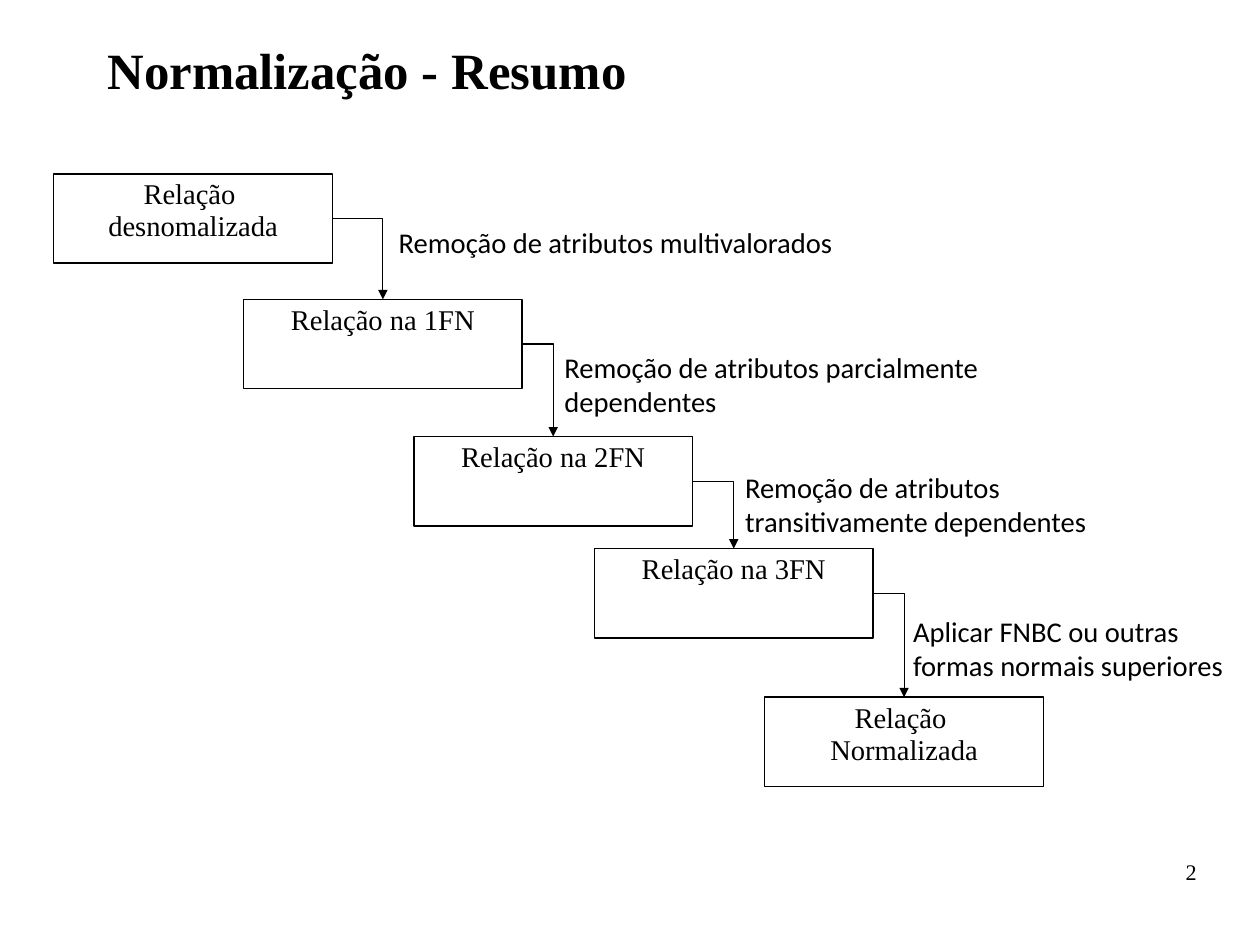
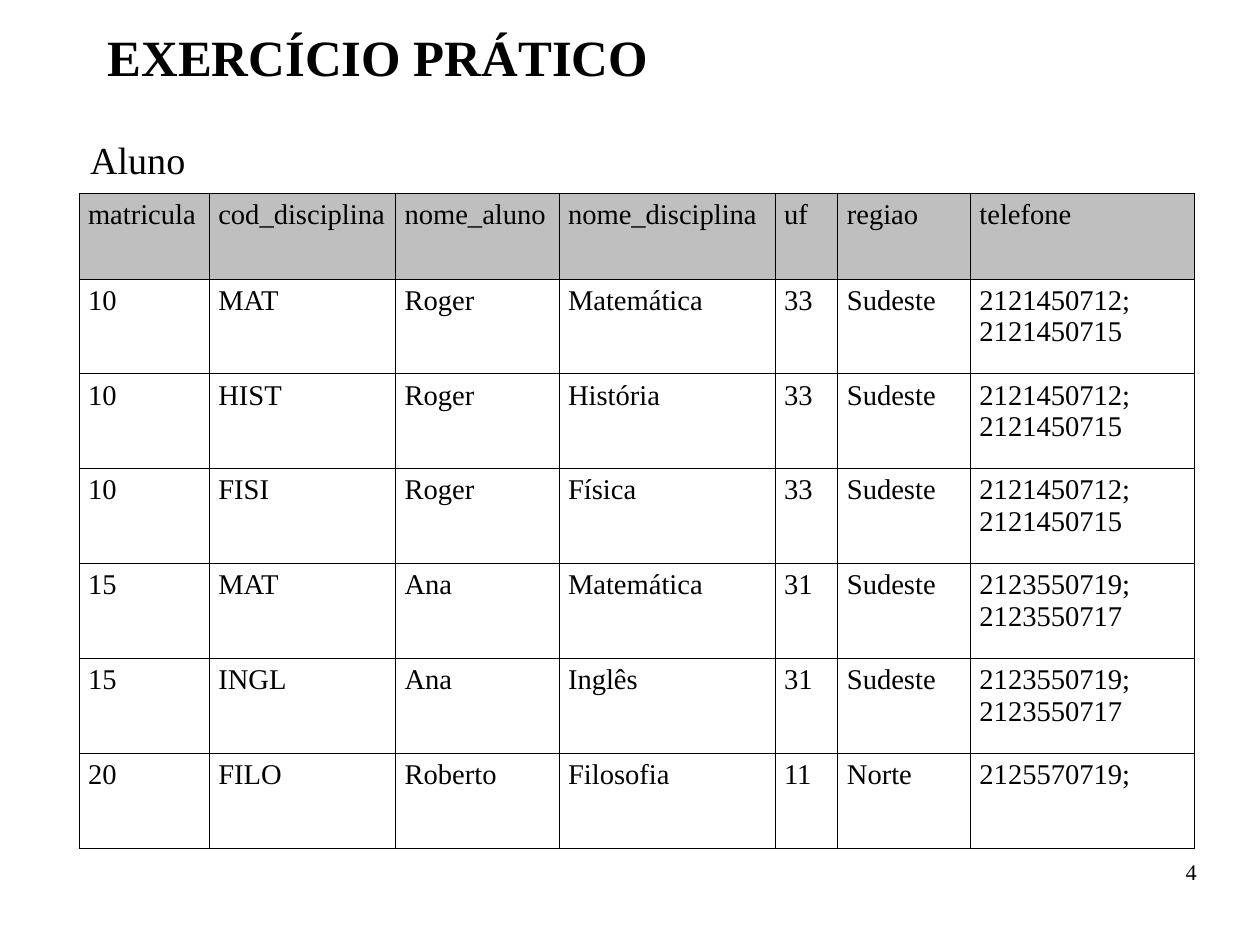
import pptx
import pptx.dml.color
import pptx.enum.shapes
import pptx.enum.text
import pptx.oxml.ns
import pptx.util
from lxml import etree

Inches = pptx.util.Inches
Pt = pptx.util.Pt
qn = pptx.oxml.ns.qn
ALIGN = pptx.enum.text.PP_ALIGN
ANCHOR = pptx.enum.text.MSO_ANCHOR

COLORS = {"ink": "000000", "paper": "FFFFFF", "header": "BFBFBF"}
SERIF = "Times New Roman"
SANS = "Calibri"
RIGHT_SITE, TOP_SITE = 3, 0
CM_PER_INCH = 2.54
SLIDE_WIDTH = Inches(28 / CM_PER_INCH)
SLIDE_HEIGHT = Inches(21 / CM_PER_INCH)

STEP_SIZE = (2.44, 0.78)
STEPS = [
    ("Relação \ndesnomalizada", 0.47, 1.52),
    ("Relação na 1FN", 2.13, 2.62),
    ("Relação na 2FN", 3.62, 3.82),
    ("Relação na 3FN", 5.2, 4.8),
    ("Relação \nNormalizada", 6.69, 6.1),
]
ACTIONS = [
    ("Remoção de atributos multivalorados", 3.39, 1.92, 4.09),
    ("Remoção de atributos parcialmente dependentes", 4.84, 3.01, 4.09),
    ("Remoção de atributos\ntransitivamente dependentes", 6.42, 4.06, 4.09),
    ("Aplicar FNBC ou outras\nformas normais superiores", 7.89, 5.32, 3.1),
]

ROGER_PHONES = "2121450712; 2121450715"
ANA_PHONES = "2123550719; 2123550717"
STUDENT_COLUMNS = [1.14, 1.63, 1.43, 1.89, 0.55, 1.16, 1.96]
STUDENT_ROWS = [
    ["matricula", "cod_disciplina", "nome_aluno", "nome_disciplina", "uf", "regiao", "telefone"],
    ["10", "MAT", "Roger", "Matemática", "33", "Sudeste", ROGER_PHONES],
    ["10", "HIST", "Roger", "História", "33", "Sudeste", ROGER_PHONES],
    ["10", "FISI", "Roger", "Física", "33", "Sudeste", ROGER_PHONES],
    ["15", "MAT", "Ana", "Matemática", "31", "Sudeste", ANA_PHONES],
    ["15", "INGL", "Ana", "Inglês", "31", "Sudeste", ANA_PHONES],
    ["20", "FILO", "Roberto", "Filosofia", "11", "Norte", "2125570719;"],
]


def rgb(name):
    return pptx.dml.color.RGBColor.from_string(COLORS[name])


def write_text(frame, text, size=18, font=SERIF, bold=False, align=ALIGN.LEFT, spacing=None):
    frame.text = text
    frame.word_wrap = True
    for paragraph in frame.paragraphs:
        paragraph.alignment = align
        paragraph.line_spacing = spacing
        paragraph.space_before = Pt(0)
        paragraph.font.size = Pt(size)
        paragraph.font.name = font
        paragraph.font.bold = bold
        paragraph.font.color.rgb = rgb("ink")


def set_margins(frame, horizontal, vertical):
    frame.margin_left = frame.margin_right = Inches(horizontal)
    frame.margin_top = frame.margin_bottom = Inches(vertical)
    frame.vertical_anchor = ANCHOR.TOP


class Deck:
    def __init__(self):
        self.presentation = pptx.Presentation()
        self.presentation.slide_width = SLIDE_WIDTH
        self.presentation.slide_height = SLIDE_HEIGHT
        self.slide = None

    def add_slide(self, title, number, top, height):
        layout = self.presentation.slide_layouts[5]
        self.slide = self.presentation.slides.add_slide(layout)
        shape = self.slide.shapes.title
        shape.left, shape.top = Inches(0.94), Inches(top)
        shape.width, shape.height = Inches(9.53), Inches(height)
        frame = shape.text_frame
        frame.auto_size = pptx.enum.text.MSO_AUTO_SIZE.NONE
        set_margins(frame, 0, 0)
        write_text(frame, title, size=32, bold=True, spacing=0.93)
        self.add_label(str(number), 7.9, 7.53, 2.57, 0.57, margins=(0, 0),
                       size=14, align=ALIGN.RIGHT, spacing=0.95)

    def add_label(self, text, left, top, width, height, margins=(0.1, 0.05), **text_format):
        box = self.slide.shapes.add_textbox(
            Inches(left), Inches(top), Inches(width), Inches(height))
        set_margins(box.text_frame, *margins)
        write_text(box.text_frame, text, **text_format)

    def add_step(self, text, left, top):
        width, height = STEP_SIZE
        shape = self.slide.shapes.add_shape(
            pptx.enum.shapes.MSO_SHAPE.RECTANGLE,
            Inches(left), Inches(top), Inches(width), Inches(height))
        shape.shadow.inherit = False
        shape.fill.solid()
        shape.fill.fore_color.rgb = rgb("paper")
        shape.line.color.rgb = rgb("ink")
        shape.line.width = Pt(1)
        set_margins(shape.text_frame, 0.1, 0.05)
        write_text(shape.text_frame, text, align=ALIGN.CENTER, spacing=0.93)
        return shape

    def add_arrow(self, source, target):
        connector = self.slide.shapes.add_connector(
            pptx.enum.shapes.MSO_CONNECTOR.ELBOW, 0, 0, 0, 0)
        connector.begin_connect(source, RIGHT_SITE)
        connector.end_connect(target, TOP_SITE)
        connector.line.color.rgb = rgb("ink")
        connector.line.width = Pt(0.75)
        properties = connector._element.spPr
        properties.find(qn("a:prstGeom")).set("prst", "bentConnector2")
        etree.SubElement(properties.find(qn("a:ln")), qn("a:tailEnd"), type="triangle")
        etree.SubElement(properties, qn("a:effectLst"))

    def add_table(self, rows, left, top, column_widths, row_heights):
        table = self.slide.shapes.add_table(
            len(rows), len(column_widths), Inches(left), Inches(top),
            Inches(sum(column_widths)), Inches(sum(row_heights))).table
        table.horz_banding = False
        for column, width in zip(table.columns, column_widths):
            column.width = Inches(width)
        for row_index, (row, height, values) in enumerate(zip(table.rows, row_heights, rows)):
            row.height = Inches(height)
            for cell, value in zip(row.cells, values):
                self.format_cell(cell, value, "paper" if row_index else "header")

    def format_cell(self, cell, text, fill):
        cell.margin_left = cell.margin_right = Inches(0.08)
        cell.margin_top = cell.margin_bottom = Inches(0.05)
        cell.vertical_anchor = ANCHOR.TOP
        write_text(cell.text_frame, text, align=ALIGN.JUSTIFY)
        properties = cell._tc.get_or_add_tcPr()
        for side in ("lnL", "lnR", "lnT", "lnB"):
            border = etree.SubElement(properties, qn("a:" + side), w=str(Pt(0.45)))
            solid = etree.SubElement(border, qn("a:solidFill"))
            etree.SubElement(solid, qn("a:srgbClr"), val=COLORS["ink"])
        cell.fill.solid()
        cell.fill.fore_color.rgb = rgb(fill)


def build_summary(deck):
    deck.add_slide("Normalização - Resumo", 2, top=0.39, height=0.61)
    steps = [deck.add_step(*step) for step in STEPS]
    for source, target in zip(steps, steps[1:]):
        deck.add_arrow(source, target)
    for text, left, top, width in ACTIONS:
        deck.add_label(text, left, top, width, 0.7, font=SANS)


def build_exercise(deck):
    deck.add_slide("EXERCÍCIO PRÁTICO", 4, top=0.27, height=0.83)
    row_heights = [0.75] + [0.83] * (len(STUDENT_ROWS) - 1)
    deck.add_table(STUDENT_ROWS, 0.69, 1.69, STUDENT_COLUMNS, row_heights)
    deck.add_label("Aluno", 0.69, 1.14, 2.76, 0.5, size=24)


def main():
    deck = Deck()
    build_summary(deck)
    build_exercise(deck)
    deck.presentation.save("out.pptx")


if __name__ == "__main__":
    main()
